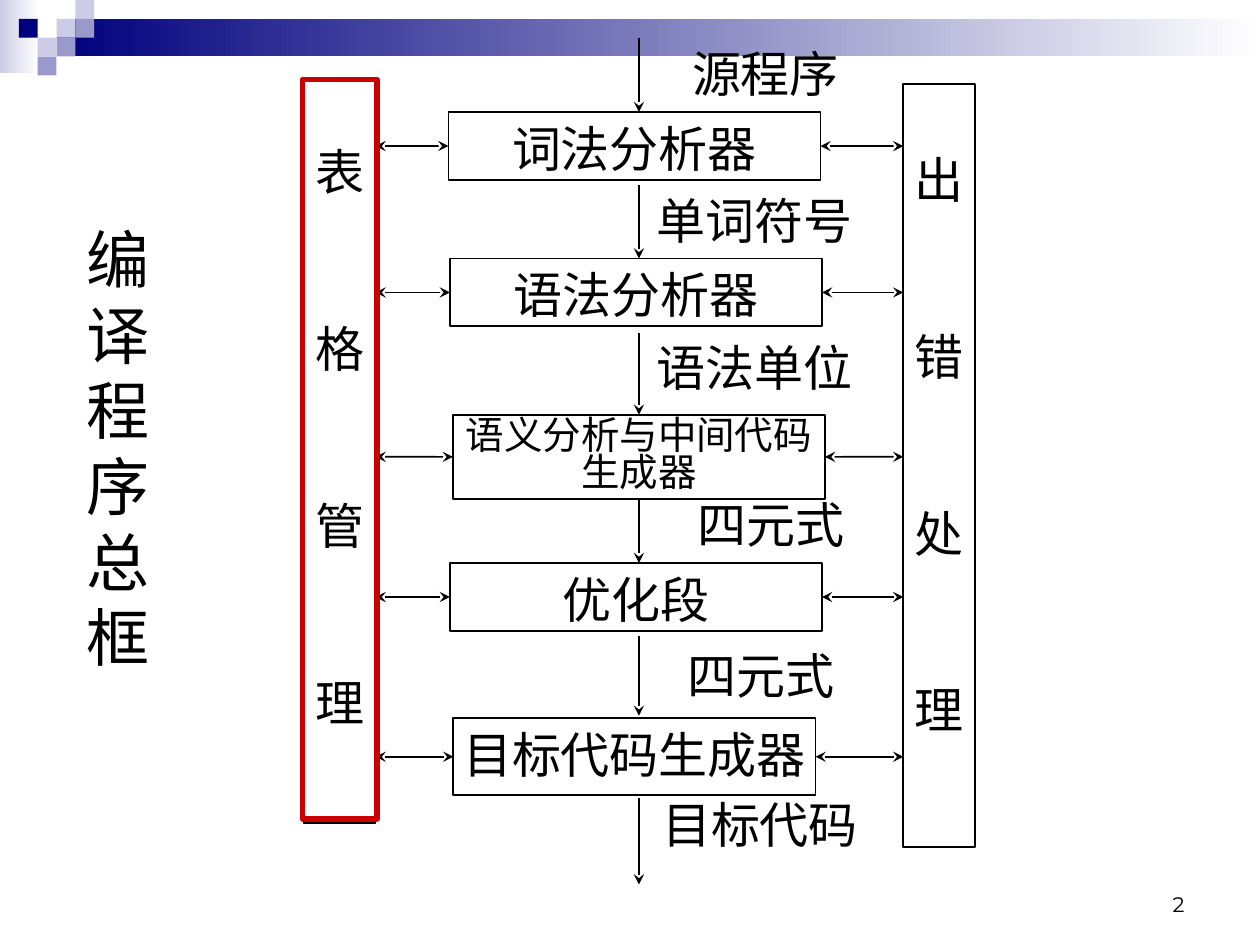
from dataclasses import dataclass

from lxml import etree
from pptx import Presentation
from pptx.dml.color import RGBColor
from pptx.enum import shapes as es, text as et
from pptx.oxml import ns
from pptx.util import Cm, Pt


@dataclass(frozen=True)
class Theme:
    """Colours, fonts and type sizes of the slide."""
    ink: str = "000000"
    navy: str = "00007D"
    mid: str = "9999CC"
    pale: str = "CCCCE6"
    white: str = "FFFFFF"
    red: str = "CC0000"
    serif: str = "Times New Roman"
    sans: str = "Noto Sans CJK SC"
    latin: str = "Montserrat"
    head: int = 36
    body: int = 28
    small: int = 22
    note: int = 12


T = Theme()
MID = et.MSO_ANCHOR.MIDDLE
TOP = et.MSO_ANCHOR.TOP
AXIS = 12.88
STEPS = [
    ("词法分析器", (9.04, 2.26, 7.5, 1.37), T.serif),
    ("语法分析器", (9.07, 5.21, 7.5, 1.37), T.serif),
    ("语义分析与中间代码生成器", (9.13, 8.36, 7.5, 1.7), T.sans),
    ("优化段", (9.07, 11.35, 7.5, 1.37), T.sans),
    ("目标代码生成器", (9.14, 14.48, 7.3, 1.55), T.sans),
]
FLOWS = [
    ("源程序", (13.36, 0.99, 4.14, 0.97), 0.76, 2.26),
    ("单词符号", (13.13, 3.94, 4.17, 0.97), 3.73, 5.21),
    ("语法单位", (13.13, 6.91, 4.17, 0.97), 6.71, 8.36),
    ("四元式", (13.39, 10.19, 4.29, 0.76), 10.06, 11.35),
    ("四元式", (13.39, 13.16, 3.91, 0.89), 12.83, 14.43),
    ("目标代码", (13.34, 16.13, 3.96, 0.97), 16.08, 17.83),
]
TILES = [(3, 1, T.pale), (4, 0, T.pale), (4, 1, T.mid), (2, 2, T.pale),
         (1, 1, T.navy), (3, 2, T.mid), (2, 3, T.mid)]


def tone(code):
    """Turn a hex code into a colour."""
    return RGBColor.from_string(code)


def write(shape, words, size, font, align=et.PP_ALIGN.CENTER, anchor=TOP,
          pad=(0, 0.13), wrap=True, lead=1.2, gap=0):
    """Fill a shape with one paragraph per line of words."""
    frame = shape.text_frame
    frame.text = words
    frame.auto_size = et.MSO_AUTO_SIZE.NONE
    frame.word_wrap = wrap
    frame.vertical_anchor = anchor
    frame.margin_left = frame.margin_right = Cm(pad[0])
    frame.margin_top = frame.margin_bottom = Cm(pad[1])
    for i, para in enumerate(frame.paragraphs):
        para.alignment = align
        para.line_spacing = Pt(round(size * lead, 1))
        para.space_before = Pt(gap if i else 0)
        for run in para.runs:
            run.font.size = Pt(size)
            run.font.name = font
            run.font.color.rgb = tone(T.ink)


def rect(slide, box, fill=None, line=None, width=1):
    """Add a plain rectangle; a pair of fills makes a gradient."""
    shape = slide.shapes.add_shape(es.MSO_SHAPE.RECTANGLE, *map(Cm, box))
    shape.shadow.inherit = False
    if isinstance(fill, tuple):
        shape.fill.gradient()
        shape.fill.gradient_angle = 0
        for i, (stop, code) in enumerate(zip(shape.fill.gradient_stops, fill)):
            stop.position = i
            stop.color.rgb = tone(code)
    elif fill:
        shape.fill.solid()
        shape.fill.fore_color.rgb = tone(fill)
    else:
        shape.fill.background()
    if line:
        shape.line.color.rgb = tone(line)
        shape.line.width = Pt(width)
    else:
        shape.line.fill.background()
    return shape


def arrow(slide, x0, y0, x1, y1, ends=("tailEnd",)):
    """Add a thin straight arrow."""
    link = slide.shapes.add_connector(
        es.MSO_CONNECTOR.STRAIGHT, *map(Cm, (x0, y0, x1, y1)))
    link.line.color.rgb = tone(T.ink)
    link.line.width = Pt(1)
    for end in ends:
        etree.SubElement(link.line._get_or_add_ln(), ns.qn("a:" + end),
                         type="stealth")
    etree.SubElement(link._element.spPr, ns.qn("a:effectLst"))
    return link


def banner(slide, box):
    """Draw the fading bar and the tiles in the top strip."""
    left, top, wide, high = box
    cell = high / 4
    rect(slide, (left, top, 0.79, high - 0.05), (T.pale, T.white))
    rect(slide, (left + 3 * cell, top + cell, wide - 3 * cell, 2 * cell),
         (T.navy, T.white))
    for col, row, code in TILES:
        rect(slide, (left + col * cell, top + row * cell, cell, cell), code)


def heading(slide, box):
    """Stand the title upright beside the chart."""
    title = slide.shapes.title
    title.left, title.top, title.width, title.height = map(Cm, box)
    write(title, "编译程序总框", T.head, T.sans, et.PP_ALIGN.LEFT,
          pad=(0.25, 0.13))


def rail(slide, box, words, drop):
    """Draw a tall side box with widely spaced characters."""
    shape = rect(slide, box, line=T.ink)
    write(shape, "\n".join(words), T.body, T.serif, gap=67.4)
    shape.text_frame.margin_top = Cm(drop)


def stages(slide, near, far):
    """Draw the steps and tie each to both side boxes."""
    nodes = []
    for words, box, font in STEPS:
        left, top, wide, high = box
        node = rect(slide, box, line=T.ink)
        if len(words) > 7:
            write(node, words, T.small, font, anchor=MID, pad=(0, 0), lead=0.96)
        else:
            write(node, words, T.body, font)
        y = top + high / 2
        for side, x, edge in ((1, left, near), (3, left + wide, far)):
            link = arrow(slide, x, y, edge, y, ("headEnd", "tailEnd"))
            link.begin_connect(node, side)
        nodes.append(node)
    return nodes


def flows(slide, nodes):
    """Draw the downward arrows with their labels."""
    links = []
    for words, box, start, stop in FLOWS:
        label = slide.shapes.add_textbox(*map(Cm, box))
        write(label, words, T.body, T.serif, anchor=MID, wrap=False)
        links.append(arrow(slide, AXIS, start, AXIS, stop))
    links[2].end_connect(nodes[2], 0)
    links[3].begin_connect(nodes[2], 2)


def number(slide, box):
    """Write the page number in the corner."""
    note = slide.shapes.add_textbox(*map(Cm, box))
    write(note, "2", T.note, T.latin, et.PP_ALIGN.RIGHT,
          et.MSO_ANCHOR.BOTTOM, (0.25, 0.13))


def main():
    """Build and save the slide."""
    deck = Presentation()
    deck.slide_width, deck.slide_height = Cm(25.4), Cm(19.05)
    slide = deck.slides.add_slide(deck.slide_layouts[5])
    banner(slide, (0, 0, 25.4, 1.52))
    heading(slide, (1.5, 4.32, 1.8, 10.92))
    rail(slide, (6.12, 1.63, 1.45, 14.96), "表格管理", 1.23)
    rail(slide, (18.21, 1.7, 1.45, 15.37), "出错处理", 1.32)
    nodes = stages(slide, 7.57, 18.21)
    flows(slide, nodes)
    number(slide, (18.21, 17.35, 5.92, 1.27))
    rect(slide, (6.1, 1.6, 1.5, 14.91), line=T.red, width=3)
    deck.save("out.pptx")


if __name__ == "__main__":
    main()
